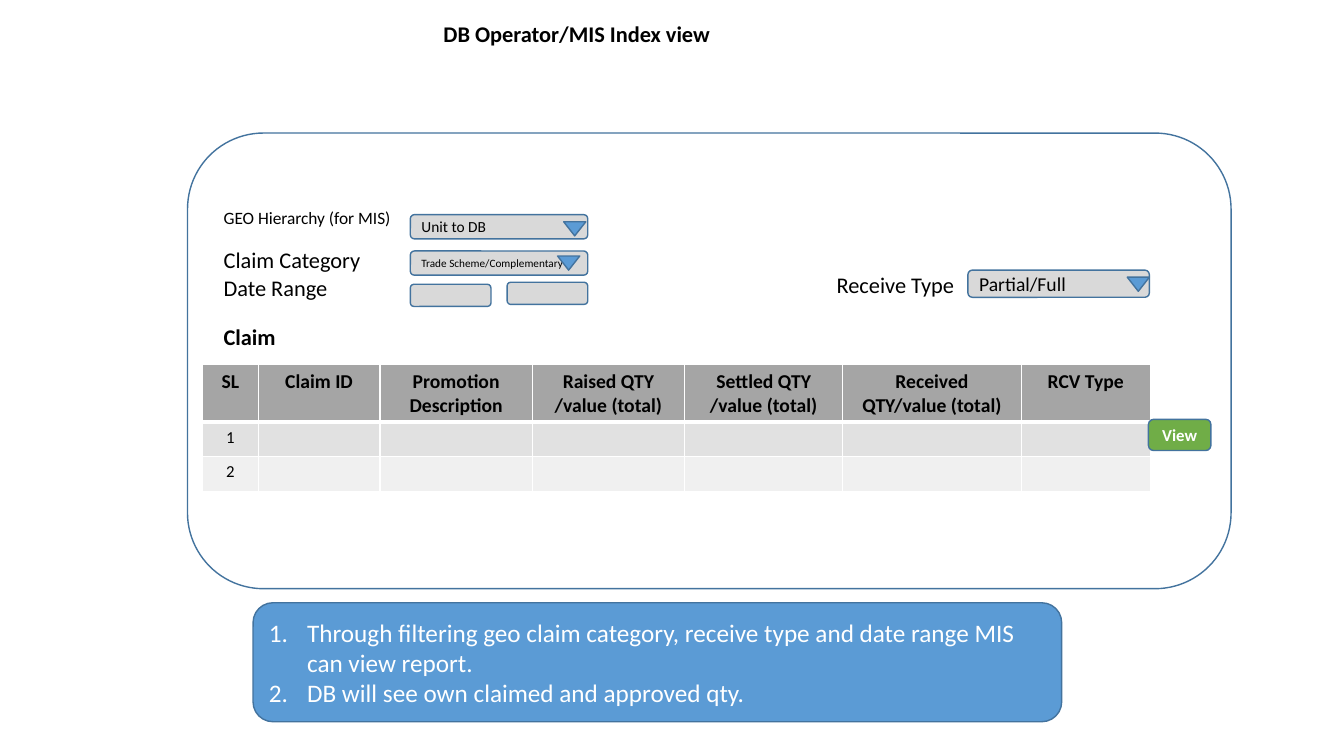
from dataclasses import dataclass

from lxml import etree
from pptx import Presentation
from pptx.dml.color import RGBColor
from pptx.enum.shapes import MSO_SHAPE
from pptx.enum.text import MSO_ANCHOR, PP_ALIGN
from pptx.oxml.ns import qn
from pptx.util import Emu, Inches, Pt

ROUNDED = MSO_SHAPE.ROUNDED_RECTANGLE
ARROW = MSO_SHAPE.FLOWCHART_MERGE
MIDDLE = MSO_ANCHOR.MIDDLE
TOP = MSO_ANCHOR.TOP
LEFT = PP_ALIGN.LEFT
CENTER = PP_ALIGN.CENTER
UNIT = Inches(0.1)  # one grid column or row


@dataclass(frozen=True)
class Theme:
    font: str = "Calibri"
    black: str = "000000"
    white: str = "FFFFFF"
    outline: str = "43739E"
    blue: str = "5B9BD5"
    green: str = "70AD47"
    field: str = "D9D9D9"
    header: str = "A5A5A5"
    bands: tuple = ("E1E1E1", "F0F0F0")
    note_size: float = 18
    label_size: float = 16
    head_size: float = 14
    geo_size: float = 12.4
    body_size: float = 12
    unit_size: float = 11
    tiny_size: float = 8


THEME = Theme()
COLUMN_WIDTHS = (5.5, 12.1, 15.1, 15.1, 15.7, 17.7, 12.8)
ROW_HEIGHTS = (5.6, 3.45, 3.45)
CLAIM_ROWS = (
    ("SL", "Claim ID", "Promotion Description", "Raised QTY /value (total)",
     "Settled QTY /value (total)", "Received QTY/value (total)", "RCV Type"),
    ("1",) + ("",) * 6,
    ("2",) + ("",) * 6,
)
NOTES = (
    "Through filtering geo claim category, receive type and date range MIS can view report.",
    "DB will see own claimed and approved qty.",
)


def grid(*cells):
    return [Emu(round(cell * UNIT)) for cell in cells]


def rgb(color):
    return RGBColor.from_string(color)


def write(para, text, size=THEME.label_size, color=THEME.black, bold=False,
          align=LEFT, spacing=None, before=None):
    para.alignment = align
    if spacing:
        para.line_spacing = spacing
    if before:
        para.space_before = Pt(before)
    span = para.add_run()
    span.text = text
    span.font.name = THEME.font
    span.font.size = Pt(size)
    span.font.bold = bold
    span.font.color.rgb = rgb(color)


def add_label(page, text, left, top, width, height, spacing=0.9, **style):
    box = page.shapes.add_textbox(*grid(left, top, width, height))
    box.text_frame.word_wrap = True
    write(box.text_frame.paragraphs[0], text, spacing=spacing, before=10, **style)


def add_block(page, kind, left, top, width, height, fill=None, text="", **style):
    block = page.shapes.add_shape(kind, *grid(left, top, width, height))
    block.shadow.inherit = False
    block.line.color.rgb = rgb(THEME.outline)
    block.line.width = Pt(1)
    if fill:
        block.fill.solid()
        block.fill.fore_color.rgb = rgb(fill)
    else:
        block.fill.background()
    block.text_frame.vertical_anchor = MIDDLE
    if text:
        write(block.text_frame.paragraphs[0], text, **style)
    return block


def add_field(page, left, top, width, height, text="", **style):
    add_block(page, ROUNDED, left, top, width, height, THEME.field, text, **style)


def add_arrow(page, left, top):
    add_block(page, ARROW, left, top, 2.2, 1.4, THEME.blue)


def number_para(para):
    props = para._p.get_or_add_pPr()
    props.set("marL", str(Inches(0.38)))
    props.set("indent", str(-Inches(0.38)))
    etree.SubElement(props, qn("a:buFont"), typeface="+mj-lt")
    etree.SubElement(props, qn("a:buAutoNum"), type="arabicPeriod")


def add_notes(page, notes, left, top, width, height):
    frame = add_block(page, ROUNDED, left, top, width, height, THEME.blue).text_frame
    for index, note in enumerate(notes):
        para = frame.add_paragraph() if index else frame.paragraphs[0]
        write(para, note, size=THEME.note_size, color=THEME.white)
        number_para(para)


def border_cell(cell, bottom, top):
    props = cell._tc.get_or_add_tcPr()
    for side, width in (("lnL", 1), ("lnR", 1), ("lnT", top), ("lnB", bottom)):
        line = etree.SubElement(props, qn("a:" + side), w=str(Pt(width)))
        fill = etree.SubElement(line, qn("a:solidFill"))
        etree.SubElement(fill, qn("a:srgbClr"), val=THEME.white)


def fill_cell(cell, text, row):
    is_header = row == 0
    size = THEME.head_size if is_header else THEME.body_size
    border_cell(cell, bottom=3 if is_header else 1, top=3 if row == 1 else 1)
    cell.fill.solid()
    cell.fill.fore_color.rgb = rgb(THEME.header if is_header else THEME.bands[row - 1])
    cell.vertical_anchor = TOP
    para = cell.text_frame.paragraphs[0]
    if text:
        write(para, text, size=size, bold=is_header, align=CENTER)
    else:
        etree.SubElement(para._p, qn("a:endParaRPr"), sz=str(int(size * 100)))


def add_claim_table(page, left, top):
    place = grid(left, top, sum(COLUMN_WIDTHS), sum(ROW_HEIGHTS))
    table = page.shapes.add_table(len(ROW_HEIGHTS), len(COLUMN_WIDTHS), *place).table
    for column, width in zip(table.columns, grid(*COLUMN_WIDTHS)):
        column.width = width
    for row, height in zip(table.rows, grid(*ROW_HEIGHTS)):
        row.height = height
    for row, texts in enumerate(CLAIM_ROWS):
        for column, text in enumerate(texts):
            fill_cell(table.cell(row, column), text, row)


def main():
    deck = Presentation()
    deck.slide_width, deck.slide_height = Inches(13.33), Inches(7.5)
    page = deck.slides.add_slide(deck.slide_layouts[6])

    # Title and window
    add_block(page, ROUNDED, 18.6, 13.2, 103.5, 45.2)
    add_label(page, "DB Operator/MIS Index view", 43, 1.8, 28.9, 7, bold=True)

    # Filters on the left
    add_label(page, "GEO Hierarchy (for MIS)", 21.2, 20.6, 18.7, 3.6,
              spacing=0.7, size=THEME.geo_size)
    add_label(page, "Claim Category", 21.2, 24.2, 16.4, 4.2)
    add_label(page, "Date Range", 21.2, 27, 16.4, 2.8)
    add_field(page, 40.7, 21.3, 17.6, 2.4, "Unit to DB", size=THEME.unit_size)
    add_field(page, 40.7, 24.9, 17.6, 2.4, "Trade Scheme/Complementary",
              size=THEME.tiny_size)
    add_field(page, 40.7, 28.2, 8, 2.2)
    add_field(page, 50.3, 28, 8, 2.2)

    # Filter on the right
    add_label(page, "Receive Type", 82, 26.7, 14.7, 2.6)
    add_field(page, 96, 26.8, 18, 2.7, "Partial/Full", size=THEME.head_size)

    # Drop-down arrows
    for left, top in ((55.9, 22), (55.3, 25.4), (111.8, 27.5)):
        add_arrow(page, left, top)

    # Claims
    add_label(page, "Claim", 21.2, 31.9, 16.4, 4.2, bold=True)
    add_claim_table(page, 20.1, 36.2)
    add_block(page, ROUNDED, 113.9, 41.6, 6.2, 3.1, THEME.green, "View",
              size=THEME.body_size, color=THEME.white, bold=True, align=CENTER)

    # Notes
    add_notes(page, NOTES, 25.1, 59.8, 80.2, 11.8)
    deck.save("out.pptx")


if __name__ == "__main__":
    main()
